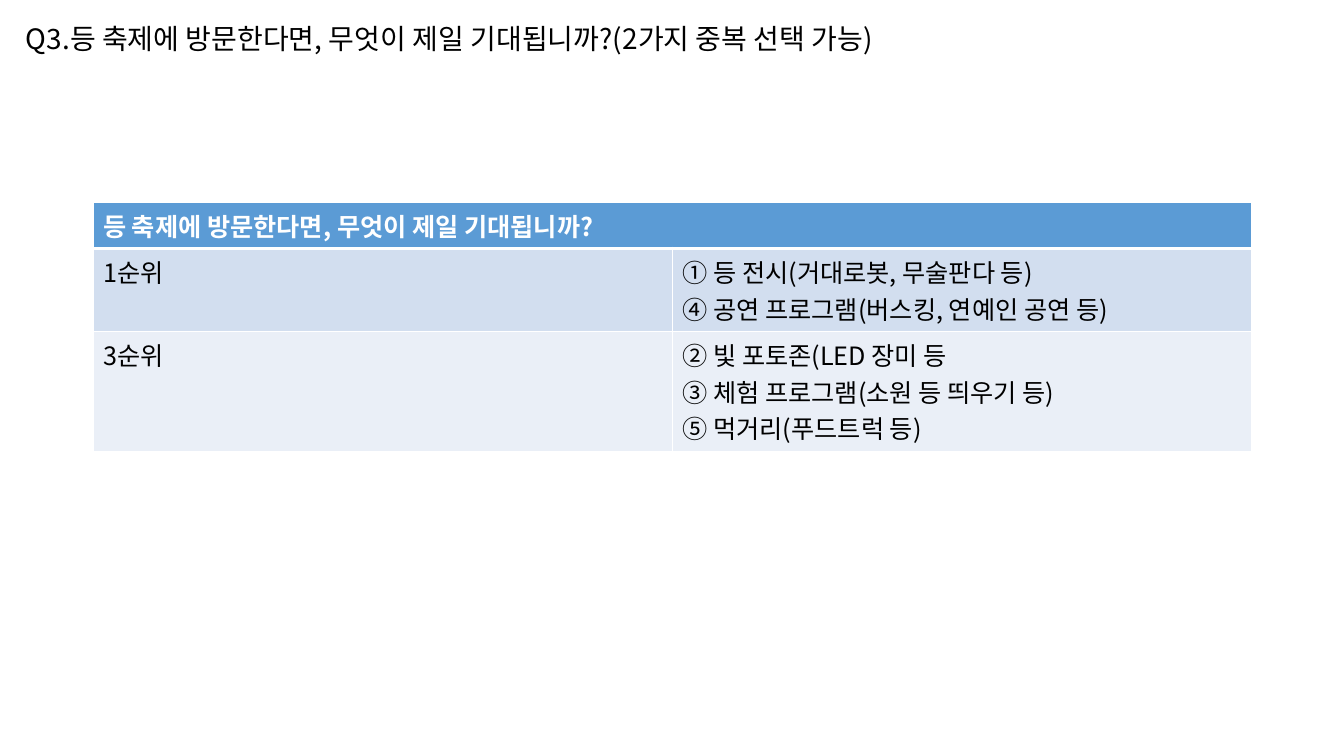
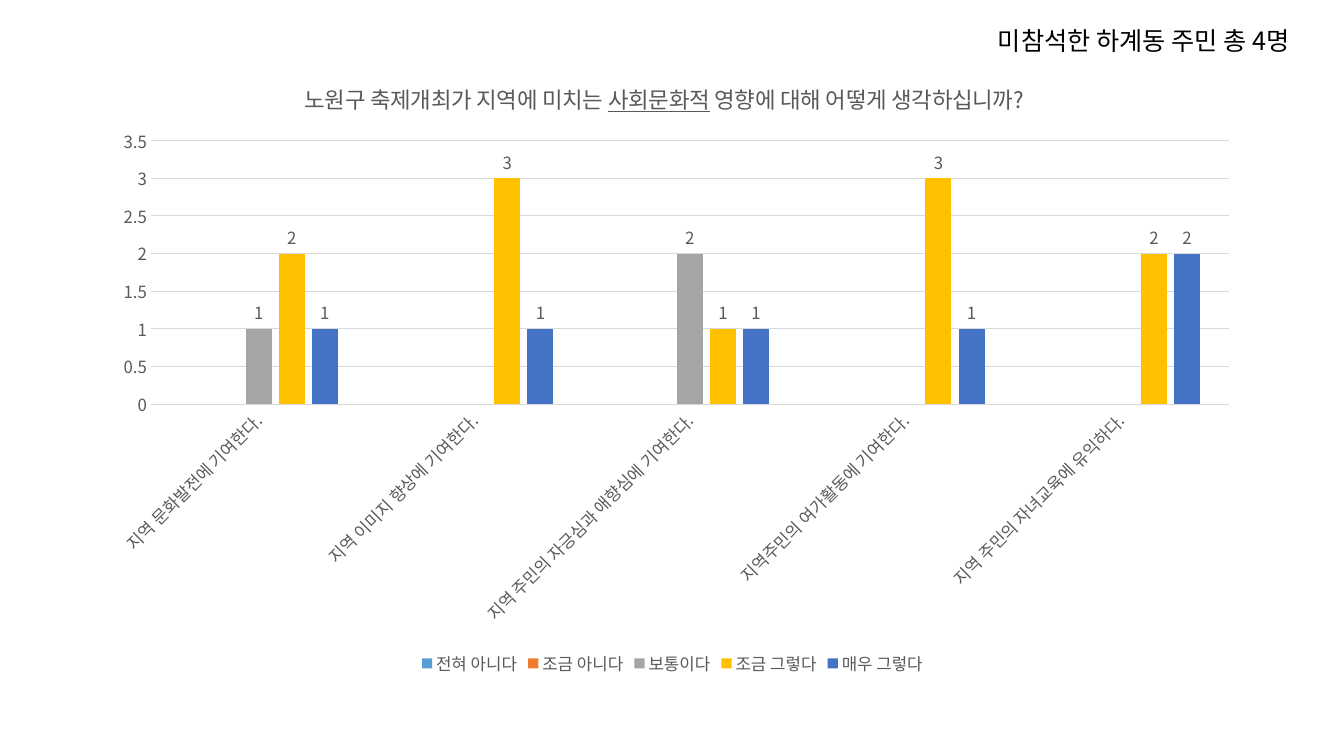
from dataclasses import dataclass

from lxml import etree
from pptx import Presentation
from pptx import util as u
from pptx.chart.data import CategoryChartData
from pptx.dml.color import RGBColor
from pptx.enum import chart as charts, text
from pptx.oxml import ns

EMU_PER_PX = 914400 / 100.8


@dataclass(frozen=True)
class Theme:
    font: str = "Noto Sans CJK KR"
    ink: str = "000000"
    paper: str = "FFFFFF"
    muted: str = "595959"
    rule: str = "D9D9D9"
    header: str = "5B9BD5"
    bands: tuple = ("D2DEEF", "EAEFF7")
    answers: tuple = ("5B9BD5", "ED7D31", "A5A5A5", "FFC000", "4472C4")
    question_size: int = 20
    body_size: int = 18
    chart_title_size: int = 16
    label_size: int = 12
    rule_width: float = 0.75


THEME = Theme()

RANKING_TITLE = "등 축제에 방문한다면, 무엇이 제일 기대됩니까?"
RANKING = [
    ("1순위", ["① 등 전시(거대로봇, 무술판다 등)",
             "④ 공연 프로그램(버스킹, 연예인 공연 등)"]),
    ("3순위", ["② 빛 포토존(LED 장미 등",
             "③ 체험 프로그램(소원 등 띄우기 등)",
             "⑤ 먹거리(푸드트럭 등)"]),
]
SURVEY_TITLE = [("노원구 축제개최가 지역에 미치는 ", False), ("사회문화적", True),
                (" 영향에 대해 어떻게 생각하십니까?", False)]
STATEMENTS = ["지역 문화발전에 기여한다.", "지역 이미지 향상에 기여한다.",
              "지역 주민의 자긍심과 애향심에 기여한다.",
              "지역주민의 여가활동에 기여한다.", "지역 주민의 자녀교육에 유익하다."]
ANSWERS = {
    "전혀 아니다": [None] * 5,
    "조금 아니다": [None] * 5,
    "보통이다": [1, None, 2, None, None],
    "조금 그렇다": [2, 3, 1, 3, 2],
    "매우 그렇다": [1, 1, 1, 1, 2],
}


def px(length):
    return u.Emu(round(length * EMU_PER_PX))


def apply(target, values):
    for name, value in values.items():
        setattr(target, name, value)


def style(font, size, color, **extra):
    apply(font, {"name": THEME.font, "size": u.Pt(size), **extra})
    font.color.rgb = RGBColor.from_string(color)


def paint(fill, color):
    fill.solid()
    fill.fore_color.rgb = RGBColor.from_string(color)


def add_east_asian_font(root):
    """Give Hangul the same typeface as Latin text."""
    for latin in list(root.iter(ns.qn("a:latin"))):
        east_asian = etree.Element(ns.qn("a:ea"), typeface=THEME.font)
        latin.addnext(east_asian)


def write(frame, lines, size, color, **extra):
    for index, line in enumerate(lines):
        paragraph = frame.paragraphs[0] if index == 0 else frame.add_paragraph()
        run = paragraph.add_run()
        run.text = line
        style(run.font, size, color, **extra)


def add_heading(slide, box, words, size):
    frame = slide.shapes.add_textbox(*map(px, box)).text_frame
    apply(frame, {"word_wrap": False,
                  "auto_size": text.MSO_AUTO_SIZE.SHAPE_TO_FIT_TEXT})
    write(frame, [words], size, THEME.ink)


def set_borders(cell, **widths):
    properties = cell._tc.get_or_add_tcPr()
    for side in "LRTB":
        line = etree.SubElement(properties, ns.qn(f"a:ln{side}"),
                                w=str(u.Pt(widths.get(side, 1))))
        solid = etree.SubElement(line, ns.qn("a:solidFill"))
        etree.SubElement(solid, ns.qn("a:srgbClr"), val=THEME.paper)


def add_ranking_table(slide, box, row_heights):
    table = slide.shapes.add_table(len(row_heights), 2, *map(px, box)).table
    for row, height in zip(table.rows, row_heights):
        row.height = px(height)

    # Header across both columns
    header = table.cell(0, 0)
    for cell in table.rows[0].cells:
        set_borders(cell, B=3)
        paint(cell.fill, THEME.header)
    header.merge(table.cell(0, 1))
    write(header.text_frame, [RANKING_TITLE], THEME.body_size, THEME.paper, bold=True)

    # Banded ranks
    for index, (rank, choices) in enumerate(RANKING):
        for column, lines in enumerate(([rank], choices)):
            cell = table.cell(index + 1, column)
            set_borders(cell, T=1 if index else 3)
            paint(cell.fill, THEME.bands[index % 2])
            write(cell.text_frame, lines, THEME.body_size, THEME.ink, bold=False)


def set_layout(parent, before, inner=False, **fractions):
    """Place a chart part by fractions of the chart's box."""
    for stale in parent.findall(ns.qn("c:layout")):
        parent.remove(stale)
    layout = etree.Element(ns.qn("c:layout"))
    manual = etree.SubElement(layout, ns.qn("c:manualLayout"))
    settings = {"layoutTarget": "inner"} if inner else {}
    settings.update(xMode="edge", yMode="edge", **fractions)
    for name, value in settings.items():
        etree.SubElement(manual, ns.qn(f"c:{name}"), val=str(value))
    parent.find(ns.qn(before)).addprevious(layout)


def format_axes(chart):
    for axis in (chart.category_axis, chart.value_axis):
        apply(axis, {"major_tick_mark": charts.XL_TICK_MARK.NONE,
                     "minor_tick_mark": charts.XL_TICK_MARK.NONE})
        style(axis.tick_labels.font, THEME.label_size, THEME.muted)
    chart.value_axis.format.line.fill.background()
    apply(chart.value_axis, {"minimum_scale": 0, "maximum_scale": 3.5,
                             "major_unit": 0.5})
    for line in (chart.category_axis.format.line,
                 chart.value_axis.major_gridlines.format.line):
        paint(line.fill, THEME.rule)
        line.width = u.Pt(THEME.rule_width)
    # Slanted statements
    labels = chart.category_axis._element.find(ns.qn("c:txPr"))
    labels.find(ns.qn("a:bodyPr")).set("rot", str(-45 * 60000))


def add_survey_chart(slide, box):
    survey = CategoryChartData()
    survey.categories = STATEMENTS
    for answer, counts in ANSWERS.items():
        survey.add_series(answer, counts)
    chart = slide.shapes.add_chart(charts.XL_CHART_TYPE.COLUMN_CLUSTERED,
                                   *map(px, box), survey).chart
    style(chart.font, 10, THEME.ink)

    # Title with one underlined word
    heading = chart.chart_title
    paragraph = heading.text_frame.paragraphs[0]
    for words, underlined in SURVEY_TITLE:
        run = paragraph.add_run()
        run.text = words
        style(run.font, THEME.chart_title_size, THEME.muted,
              bold=False, underline=underlined)
    heading.include_in_layout = False
    set_layout(heading._element, "c:overlay", x=0.18, y=0.04)

    # Columns and their counts
    columns = chart.plots[0]
    apply(columns, {"gap_width": 219, "overlap": -27, "vary_by_categories": False})
    for series, color in zip(columns.series, THEME.answers):
        paint(series.format.fill, color)
        counts = series.data_labels
        apply(counts, {"show_value": True,
                       "position": charts.XL_LABEL_POSITION.OUTSIDE_END})
        style(counts.font, THEME.label_size, THEME.muted)
    format_axes(chart)
    set_layout(chart._chartSpace.chart.plotArea, "c:barChart", inner=True,
               x=0.05, y=0.14, w=0.93, h=0.42)

    # Legend
    chart.has_legend = True
    apply(chart.legend, {"position": charts.XL_LEGEND_POSITION.BOTTOM,
                         "include_in_layout": False})
    style(chart.legend.font, THEME.label_size, THEME.muted)
    add_east_asian_font(chart._chartSpace)


def build_ranking_slide(slide):
    add_ranking_table(slide, (93, 202, 1159, 248), (46, 82, 120))
    add_heading(slide, (16, 17, 950, 44),
                "Q3.등 축제에 방문한다면, 무엇이 제일 기대됩니까?(2가지 중복 선택 가능)",
                THEME.question_size)


def build_survey_slide(slide):
    add_survey_chart(slide, (93, 53, 1159, 627))
    add_heading(slide, (988, 20, 350, 40), "미참석한 하계동 주민 총 4명",
                THEME.body_size)


def main():
    deck = Presentation()
    apply(deck, {"slide_width": px(1344), "slide_height": px(756)})
    for build in (build_ranking_slide, build_survey_slide):
        slide = deck.slides.add_slide(deck.slide_layouts[6])
        build(slide)
        add_east_asian_font(slide._element)
    deck.save("out.pptx")


if __name__ == "__main__":
    main()
